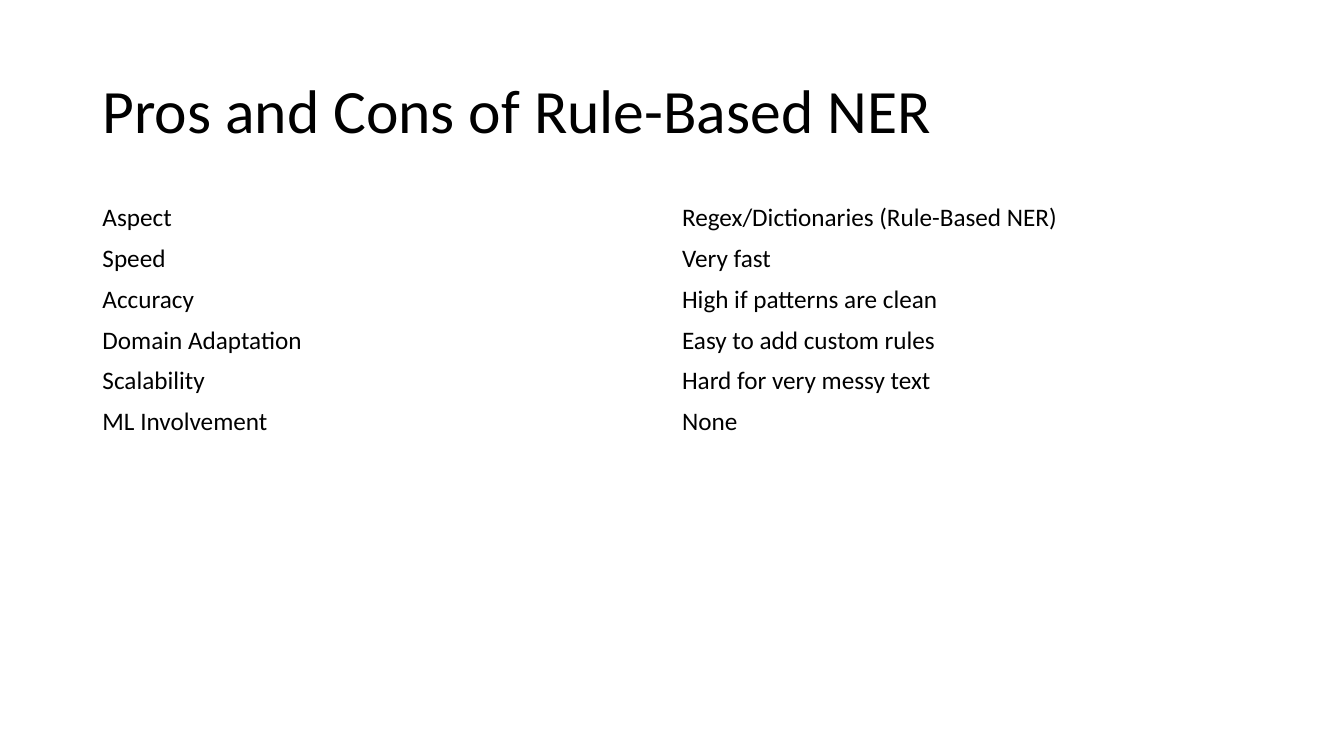
from dataclasses import dataclass

from pptx import Presentation
from pptx.dml.color import RGBColor
from pptx.enum import text as t
from pptx.slide import Slide
from pptx.text.text import TextFrame
from pptx.util import Pt

FONT = "Calibri"
INK = "000000"
PAPER = "FFFFFF"
LEFT, WIDTH = 66, 828
ROW = 28.8


@dataclass
class Trait:
    aspect: str
    verdict: str


TRAITS = [
    Trait("Aspect", "Regex/Dictionaries (Rule-Based NER)"),
    Trait("Speed", "Very fast"),
    Trait("Accuracy", "High if patterns are clean"),
    Trait("Domain Adaptation", "Easy to add custom rules"),
    Trait("Scalability", "Hard for very messy text"),
    Trait("ML Involvement", "None"),
]


def color(code: str) -> RGBColor:
    return RGBColor.from_string(code)


def write(frame: TextFrame, words: str, size: float, space: float = 1.0) -> None:
    para = frame.paragraphs[0]
    para.alignment = t.PP_ALIGN.LEFT
    para.line_spacing = space
    run = para.add_run()
    run.text = words
    run.font.name = FONT
    run.font.size = Pt(size)
    run.font.bold = False
    run.font.color.rgb = color(INK)


def add_title(slide: Slide, words: str) -> None:
    title = slide.shapes.title
    title.left, title.top = Pt(LEFT), Pt(28.75)
    title.width, title.height = Pt(WIDTH), Pt(104.4)
    frame = title.text_frame
    frame.word_wrap = True
    frame.auto_size = t.MSO_AUTO_SIZE.NONE
    frame.vertical_anchor = t.MSO_ANCHOR.MIDDLE
    write(frame, words, 44, 0.9)


def add_grid(slide: Slide, traits: list[Trait]) -> None:
    grid = slide.shapes.add_table(
        len(traits), 2, Pt(LEFT), Pt(141), Pt(WIDTH), Pt(ROW * len(traits))
    ).table
    grid.first_row = False
    grid.horz_banding = False
    for row, trait in zip(grid.rows, traits):
        for cell, words in zip(row.cells, (trait.aspect, trait.verdict)):
            cell.fill.background()
            cell.vertical_anchor = t.MSO_ANCHOR.MIDDLE
            write(cell.text_frame, words, 18)


def main() -> None:
    deck = Presentation()
    deck.slide_width, deck.slide_height = Pt(960), Pt(540)
    slide = deck.slides.add_slide(deck.slide_layouts.get_by_name("Title Only"))
    slide.background.fill.solid()
    slide.background.fill.fore_color.rgb = color(PAPER)
    add_title(slide, "Pros and Cons of Rule-Based NER")
    add_grid(slide, TRAITS)
    deck.save("out.pptx")


if __name__ == "__main__":
    main()
